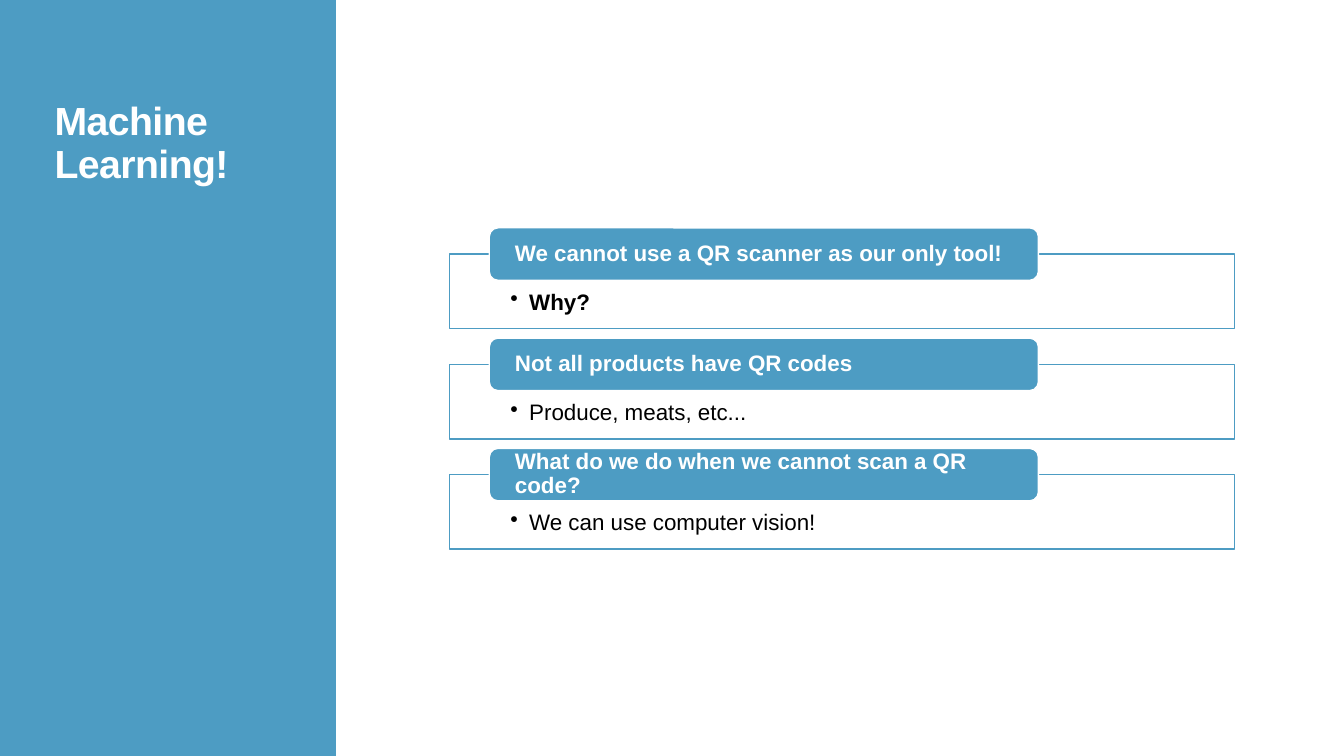
from lxml.etree import SubElement
from pptx import Presentation
from pptx.dml.color import RGBColor
from pptx.enum.shapes import MSO_SHAPE as Shape
from pptx.enum.text import MSO_ANCHOR as Anchor, MSO_AUTO_SIZE as AutoSize, PP_ALIGN as Align
from pptx.oxml.ns import qn
from pptx.util import Pt

BLUE = RGBColor(0x4D, 0x9C, 0xC3)
WHITE = RGBColor(0xFF, 0xFF, 0xFF)
BLACK = RGBColor(0x00, 0x00, 0x00)

TITLE = "Machine Learning!"
# heading, answer, answer is bold
TOPICS = [
    ("We cannot use a QR scanner as our only tool!", "Why?", True),
    ("Not all products have QR codes", "Produce, meats, etc...", False),
    ("What do we do when we cannot scan a QR code?", "We can use computer vision!", False),
]

PX = 9525
SLIDE_SIZE = (1280, 720)
SIDEBAR = (0, 0, 320, 720)
TITLE_BOX = (42, 92, 248, 532)
ANSWER_BOX = (428, 242, 748, 71)
HEADING_BOX = (466, 217, 523, 50)
ROW_PITCH = 105
BULLET_INDENT = 18
TITLE_MARGINS = (10, 5, 10, 5)
ANSWER_MARGINS = (58, 35, 58, 11)
HEADING_MARGINS = (22, 0, 22, 0)


def add_box(slide, kind, box, fill, line=None):
    shape = slide.shapes.add_shape(kind, *(length * PX for length in box))
    shape.shadow.inherit = False
    shape.fill.solid()
    shape.fill.fore_color.rgb = fill
    if line is None:
        shape.line.fill.background()
    else:
        shape.line.color.rgb = line
        shape.line.width = Pt(1)
    return shape


def set_text(shape, text, margins, anchor, color, size=16, bold=True, bullet=False):
    frame = shape.text_frame
    frame.text = text
    sides = ("margin_left", "margin_top", "margin_right", "margin_bottom")
    layout = {side: margin * PX for side, margin in zip(sides, margins)}
    layout |= {"word_wrap": True, "auto_size": AutoSize.NONE, "vertical_anchor": anchor}
    for name, value in layout.items():
        setattr(frame, name, value)
    paragraph = frame.paragraphs[0]
    paragraph.alignment = Align.LEFT
    paragraph.line_spacing = 0.9
    if bullet:
        paragraph.level = 1
        properties = paragraph._p.get_or_add_pPr()
        properties.set("marL", str(BULLET_INDENT * PX))
        properties.set("indent", str(-BULLET_INDENT * PX))
        SubElement(properties, qn("a:buChar"), char="•")
    font = paragraph.runs[0].font
    for name, value in {"name": "Arial", "size": Pt(size), "bold": bold}.items():
        setattr(font, name, value)
    font.color.rgb = color
    return font


def add_topic(slide, row, heading, answer, bold):
    def in_row(box):
        left, top, width, height = box
        return left, top + row * ROW_PITCH, width, height

    answer_box = add_box(slide, Shape.RECTANGLE, in_row(ANSWER_BOX), WHITE, BLUE)
    fill_color = answer_box.fill._xPr.find(qn("a:solidFill"))[0]
    SubElement(fill_color, qn("a:alpha"), val="90000")
    set_text(answer_box, answer, ANSWER_MARGINS, Anchor.TOP, BLACK, bold=bold, bullet=True)
    heading_box = add_box(slide, Shape.ROUNDED_RECTANGLE, in_row(HEADING_BOX), BLUE, WHITE)
    set_text(heading_box, heading, HEADING_MARGINS, Anchor.MIDDLE, WHITE)


def main():
    presentation = Presentation()
    presentation.slide_width, presentation.slide_height = (length * PX for length in SLIDE_SIZE)
    slide = presentation.slides.add_slide(presentation.slide_layouts[5])

    sidebar = add_box(slide, Shape.RECTANGLE, SIDEBAR, BLUE)
    title = slide.shapes.title
    sidebar._element.addnext(title._element)
    for name, length in zip(("left", "top", "width", "height"), TITLE_BOX):
        setattr(title, name, length * PX)
    title_font = set_text(title, TITLE, TITLE_MARGINS, Anchor.TOP, WHITE, size=28)
    title_font._element.set("spc", "-40")

    for row, topic in enumerate(TOPICS):
        add_topic(slide, row, *topic)
    presentation.save("out.pptx")


if __name__ == "__main__":
    main()
